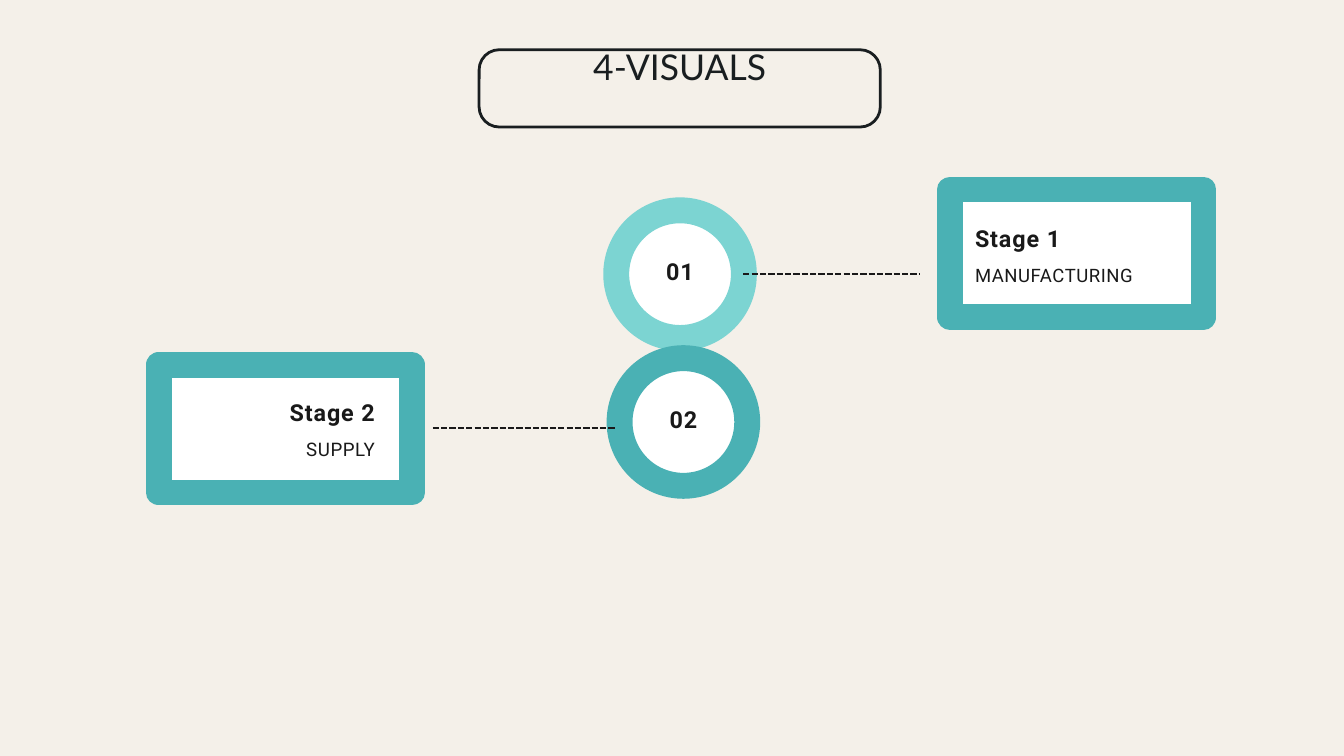
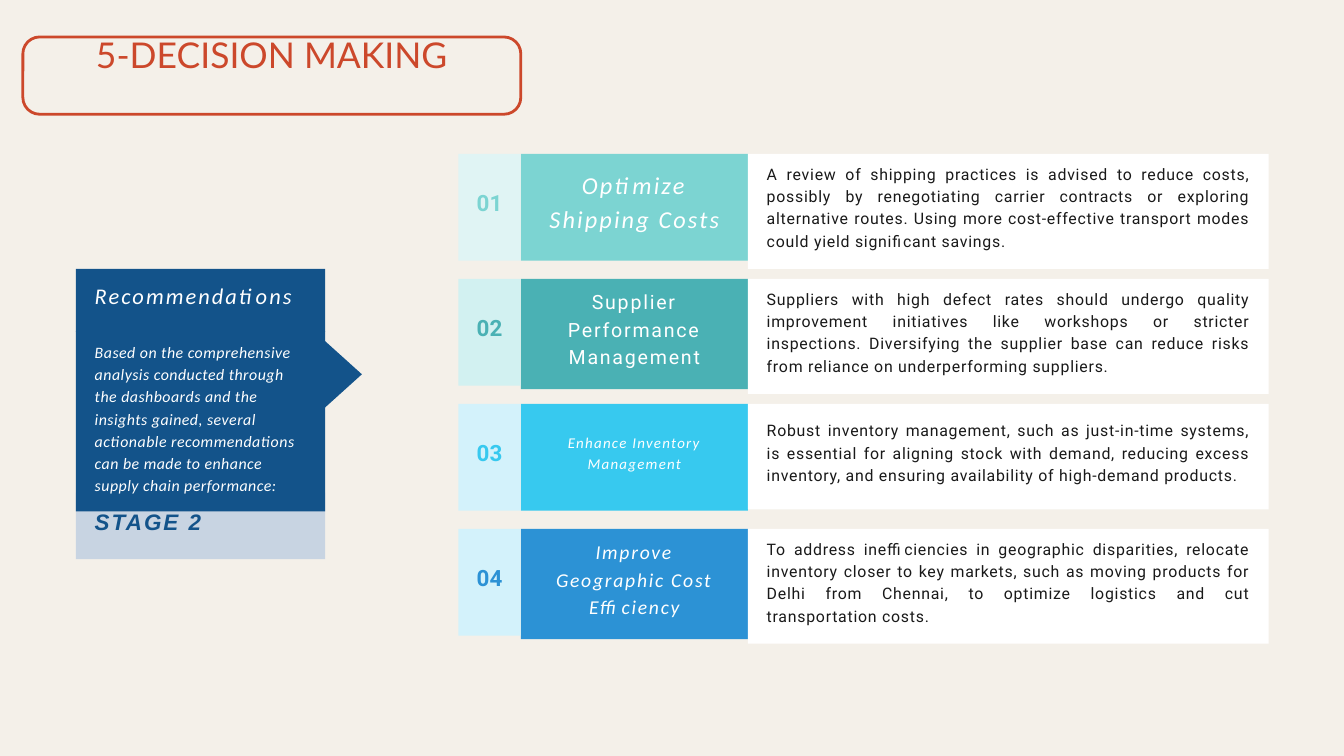
from dataclasses import dataclass

from lxml import etree
from pptx import Presentation
from pptx.dml.color import RGBColor
from pptx.enum.dml import MSO_LINE
from pptx.enum.shapes import MSO_CONNECTOR, MSO_SHAPE
from pptx.enum.text import MSO_ANCHOR, MSO_AUTO_SIZE, PP_ALIGN
from pptx.oxml.ns import qn
from pptx.shapes.autoshape import Shape
from pptx.slide import Slide
from pptx.util import Inches, Pt

RECTANGLE, ROUNDED = MSO_SHAPE.RECTANGLE, MSO_SHAPE.ROUNDED_RECTANGLE
OVAL, TRIANGLE = MSO_SHAPE.OVAL, MSO_SHAPE.ISOSCELES_TRIANGLE
STRAIGHT, DASHED = MSO_CONNECTOR.STRAIGHT, MSO_LINE.SQUARE_DOT
LEFT, CENTER, RIGHT, JUSTIFY = PP_ALIGN.LEFT, PP_ALIGN.CENTER, PP_ALIGN.RIGHT, PP_ALIGN.JUSTIFY
TOP, MIDDLE = MSO_ANCHOR.TOP, MSO_ANCHOR.MIDDLE
NO_FIT = MSO_AUTO_SIZE.NONE

PAPER, INK, TITLE_INK, WHITE = "F4F0E9", "191919", "191E20", "FFFFFF"
AQUA, TEAL, SKY, BLUE = "7CD4D2", "4AB1B4", "37C9EF", "2C92D5"
NAVY, MIST, RUST = "13538A", "C8D4E2", "CC482B"

RING_WIDTH = 27.75
BADGE_SIZE = 1.9
NARROW_INSET, WIDE_INSET = 0.06, 0.28
TITLE_TOP, TITLE_HEIGHT, TITLE_RISE = 0.55, 1.15, 0.75
ROWS_TOP, ROW_PITCH = 2.29, 1.86
NUMBER_LEFT, LABEL_LEFT, DETAIL_LEFT, DETAIL_RIGHT = 6.82, 7.75, 11.13, 18.88
ROW_HEIGHT = 1.59
CARD_LEFT, CARD_WIDTH = 1.13, 3.71


@dataclass(frozen=True)
class Box:
    left: float
    top: float
    width: float
    height: float

    def lengths(self) -> list[Inches]:
        return [Inches(v) for v in (self.left, self.top, self.width, self.height)]

    def raised(self, rise: float) -> "Box":
        return Box(self.left, self.top - rise, self.width, self.height + rise)


@dataclass(frozen=True)
class Style:
    font: str
    size: float
    color: str
    leading: float
    align: PP_ALIGN = LEFT
    spacing: float = 0
    bold: bool = False
    italic: bool = False


@dataclass(frozen=True)
class Stage:
    number: str
    heading: str
    activity: str
    ring: str
    badge: tuple[float, float]
    frame: Box
    text_left: float
    text_width: float
    heading_drop: float
    activity_drop: float
    activity_size: float
    activity_leading: float
    align: PP_ALIGN
    link: tuple[float, float, float]


@dataclass(frozen=True)
class Recommendation:
    number: str
    label: str
    detail: str
    color: str
    tint: str
    label_font: str
    label_size: float
    label_leading: float
    label_spacing: float
    label_height: float
    label_rise: float
    detail_height: float = 1.71


STAGES = [
    Stage("01", "Stage 1", "MANUFACTURING", AQUA, (9.17, 3.13), Box(14.14, 2.82, 3.77, 1.9),
          14.51, 3.44, 0.44, 1.03, 19.8, 29.6, LEFT, (11.06, 13.69, 4.08)),
    Stage("02", "Stage 2", "SUPPLY", TEAL, (9.22, 5.33), Box(2.36, 5.43, 3.77, 1.9),
          2.52, 3.06, 0.43, 1.0, 20, 30, RIGHT, (6.44, 9.17, 6.37)),
]

RECOMMENDATIONS = [
    Recommendation(
        "01", "Optimize Shipping Costs",
        "A review of shipping practices is advised to reduce costs, possibly by renegotiating "
        "carrier contracts or exploring alternative routes. Using more cost-effective transport "
        "modes could yield significant savings.",
        AQUA, "E0F4F4", "Calibri", 26, 36.4, 2.3, 1.59, 0.24),
    Recommendation(
        "02", "Supplier Performance Management",
        "Suppliers with high defect rates should undergo quality improvement initiatives like "
        "workshops or stricter inspections. Diversifying the supplier base can reduce risks "
        "from reliance on underperforming suppliers.",
        TEAL, "D2F1F1", "Roboto", 21, 29.4, 1.9, 1.64, 0.19),
    Recommendation(
        "03", "Enhance Inventory Management",
        "Robust inventory management, such as just-in-time systems, is essential for aligning "
        "stock with demand, reducing excess inventory, and ensuring availability of "
        "high-demand products.",
        SKY, "D3F2FB", "Calibri", 16, 22.4, 1.4, 1.59, 0.16, 1.57),
    Recommendation(
        "04", "Improve Geographic Cost Efficiency",
        "To address inefficiencies in geographic disparities, relocate inventory closer to key "
        "markets, such as moving products for Delhi from Chennai, to optimize logistics and cut "
        "transportation costs.",
        BLUE, "D3F2FB", "Calibri", 21, 29.4, 1.9, 1.64, 0.2),
]


def rgb(color: str) -> RGBColor:
    return RGBColor.from_string(color)


def write(holder: Shape, text: str, style: Style, inset: float, anchor: MSO_ANCHOR) -> None:
    frame = holder.text_frame
    frame.text = text
    frame.word_wrap = True
    frame.auto_size = NO_FIT
    frame.vertical_anchor = anchor
    frame.margin_left = frame.margin_right = Inches(inset)
    frame.margin_top = frame.margin_bottom = Inches(inset)
    paragraph = frame.paragraphs[0]
    paragraph.alignment = style.align
    paragraph.line_spacing = Pt(style.leading)
    for run in paragraph.runs:
        run.font.name = style.font
        run.font.size = Pt(style.size)
        run.font.bold = style.bold
        run.font.italic = style.italic
        run.font.color.rgb = rgb(style.color)
        run._r.get_or_add_rPr().set("spc", str(round(style.spacing * 100)))


def add_text(slide: Slide, box: Box, text: str, style: Style,
             inset: float = 0, anchor: MSO_ANCHOR = TOP) -> None:
    write(slide.shapes.add_textbox(*box.lengths()), text, style, inset, anchor)


def add_figure(slide: Slide, kind: MSO_SHAPE, box: Box, fill: str | None,
               outline: str | None = None, width: float = 0) -> Shape:
    figure = slide.shapes.add_shape(kind, *box.lengths())
    figure.shadow.inherit = False
    if fill:
        figure.fill.solid()
        figure.fill.fore_color.rgb = rgb(fill)
    else:
        figure.fill.background()
    if outline:
        figure.line.color.rgb = rgb(outline)
        figure.line.width = Pt(width)
    else:
        figure.line.fill.background()
    return figure


def add_panel(slide: Slide, box: Box, fill: str, text: str, style: Style, rise: float,
              inset: float = WIDE_INSET, anchor: MSO_ANCHOR = MIDDLE) -> None:
    add_figure(slide, RECTANGLE, box, fill)
    add_text(slide, box.raised(rise), text, style, inset, anchor)


def add_title(slide: Slide, text: str, box: Box, color: str, radius: float) -> None:
    outline = add_figure(slide, ROUNDED, box, None, color, 3)
    outline.adjustments[0] = radius / box.height
    title = slide.shapes.title
    title.left, title.top, title.width, title.height = box.raised(TITLE_RISE).lengths()
    write(title, text, Style("Lato", 38, color, 53.2, CENTER), NARROW_INSET, MIDDLE)


def add_link(slide: Slide, start: float, end: float, y: float) -> None:
    link = slide.shapes.add_connector(STRAIGHT, Inches(start), Inches(y), Inches(end), Inches(y))
    link.line.color.rgb = rgb(INK)
    link.line.width = Pt(2.25)
    link.line.dash_style = DASHED
    etree.SubElement(link._element.spPr, qn("a:effectLst"))


def add_stage(slide: Slide, stage: Stage) -> None:
    left, top = stage.badge
    add_figure(slide, OVAL, Box(left, top, BADGE_SIZE, BADGE_SIZE), WHITE, stage.ring, RING_WIDTH)
    add_text(slide, Box(left + 0.18, top, 1.54, 1.72), stage.number,
             Style("Roboto", 25, INK, 37.5, CENTER, 1, bold=True), NARROW_INSET, MIDDLE)
    add_link(slide, *stage.link)
    add_figure(slide, RECTANGLE, stage.frame, WHITE, TEAL, RING_WIDTH)
    add_text(slide, Box(stage.text_left, stage.frame.top + stage.activity_drop,
                        stage.text_width, 0.4), stage.activity,
             Style("Roboto", stage.activity_size, INK, stage.activity_leading, stage.align, 0.6))
    add_text(slide, Box(stage.text_left, stage.frame.top + stage.heading_drop,
                        stage.text_width, 0.46), stage.heading,
             Style("Roboto", 25, INK, 35, stage.align, 1, bold=True))


def add_recommendation(slide: Slide, item: Recommendation, top: float) -> None:
    add_panel(slide, Box(LABEL_LEFT, top, DETAIL_LEFT - LABEL_LEFT, item.label_height),
              item.color, item.label,
              Style(item.label_font, item.label_size, WHITE, item.label_leading, CENTER,
                    item.label_spacing, italic=item.label_font == "Calibri"), item.label_rise)
    add_panel(slide, Box(NUMBER_LEFT, top, LABEL_LEFT - NUMBER_LEFT, ROW_HEIGHT),
              item.tint, item.number,
              Style("Roboto", 24, item.color, 33.6, CENTER, bold=True), 0.2, NARROW_INSET)
    add_panel(slide, Box(DETAIL_LEFT, top, DETAIL_RIGHT - DETAIL_LEFT, item.detail_height),
              WHITE, item.detail, Style("Roboto", 17, INK, 23.8, JUSTIFY, 0.8), 0.16)


def add_summary_card(slide: Slide) -> None:
    add_panel(slide, Box(CARD_LEFT, 4, CARD_WIDTH, 0.94), NAVY, "Recommendations",
              Style("Calibri", 24, WHITE, 33.6, spacing=2.2, italic=True), 0.2)
    add_panel(slide, Box(CARD_LEFT, 7.33, CARD_WIDTH, 0.99), MIST, "STAGE 2",
              Style("Arial", 24, NAVY, 33.6, spacing=2.2, bold=True, italic=True), 0.2)
    add_panel(slide, Box(CARD_LEFT, 4.93, CARD_WIDTH, 2.68), NAVY,
              "Based on the comprehensive analysis conducted through the dashboards and the "
              "insights gained, several actionable recommendations can be made to enhance "
              "supply chain performance:",
              Style("Calibri", 17, WHITE, 23.8, spacing=0.5, italic=True), 0.16, anchor=TOP)
    pointer = add_figure(slide, TRIANGLE, Box(4.6, 5.29, 1.01, 0.56), NAVY)
    pointer.rotation = 90


def build_visuals(slide: Slide) -> None:
    for stage in STAGES:
        add_stage(slide, stage)
    add_title(slide, "4-VISUALS", Box(7.13, 0.74, 5.97, TITLE_HEIGHT), TITLE_INK, 0.3)


def build_decisions(slide: Slide) -> None:
    add_title(slide, "5-DECISION MAKING", Box(0.34, TITLE_TOP, 7.41, TITLE_HEIGHT), RUST, 0.25)
    for index, item in enumerate(RECOMMENDATIONS):
        add_recommendation(slide, item, ROWS_TOP + index * ROW_PITCH)
    add_summary_card(slide)


def main() -> None:
    deck = Presentation()
    deck.slide_width, deck.slide_height = Inches(20), Inches(11.25)
    backdrop = deck.slide_master.background.fill
    backdrop.solid()
    backdrop.fore_color.rgb = rgb(PAPER)
    title_only = deck.slide_layouts.get_by_name("Title Only")
    for build in (build_visuals, build_decisions):
        build(deck.slides.add_slide(title_only))
    deck.save("out.pptx")


if __name__ == "__main__":
    main()
